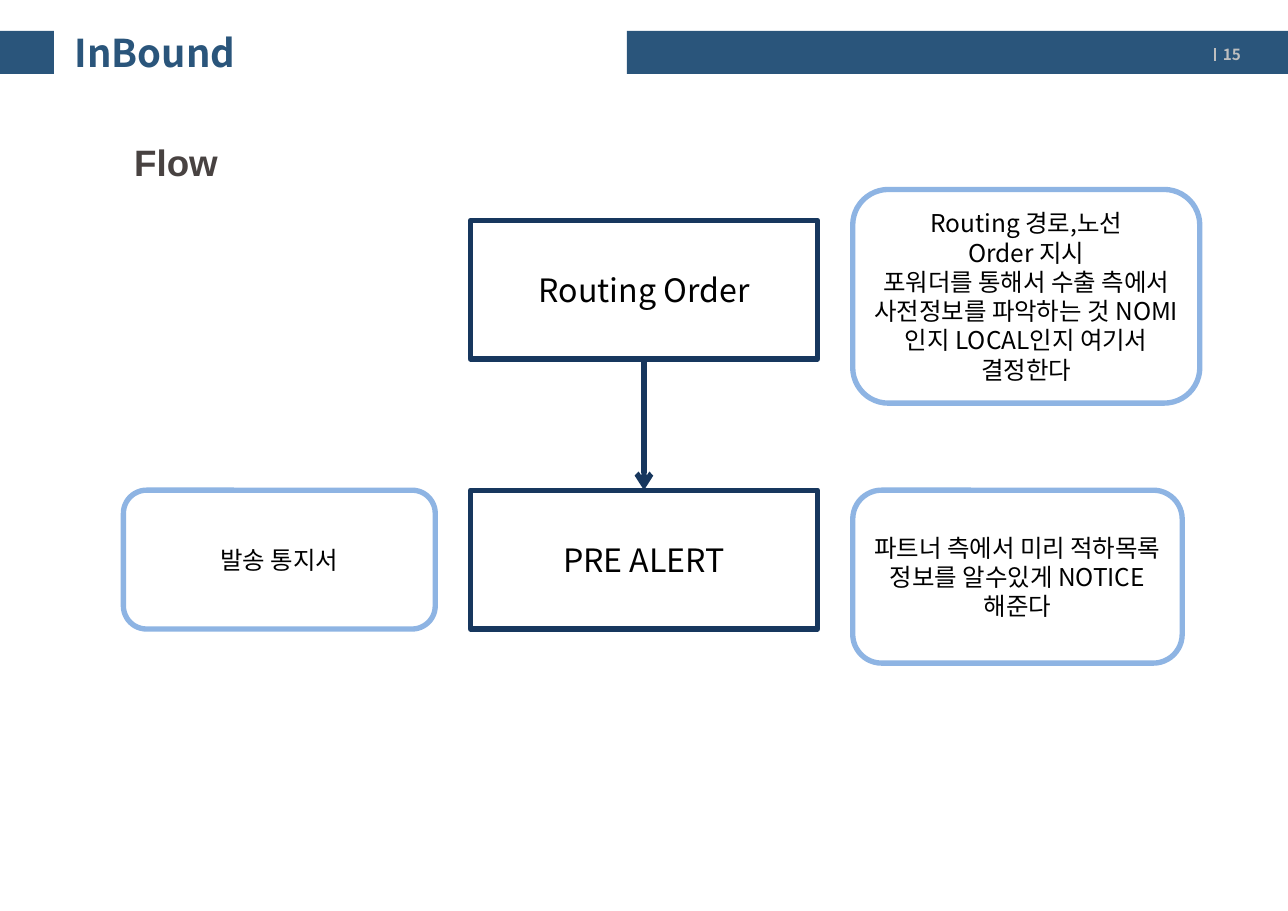
from lxml import etree
from pptx import Presentation
from pptx.dml.color import RGBColor
from pptx.enum.shapes import MSO_CONNECTOR, MSO_SHAPE
from pptx.enum.text import MSO_ANCHOR, PP_ALIGN
from pptx.oxml.ns import qn
from pptx.util import Inches, Pt

RECT, ROUND = MSO_SHAPE.RECTANGLE, MSO_SHAPE.ROUNDED_RECTANGLE
LINE = MSO_CONNECTOR.STRAIGHT
TOP, MID = MSO_ANCHOR.TOP, MSO_ANCHOR.MIDDLE
LEFT, CENTER = PP_ALIGN.LEFT, PP_ALIGN.CENTER
TEAL = RGBColor(0x2A, 0x55, 0x7B)
NAVY = RGBColor(0x17, 0x37, 0x5E)
SKY = RGBColor(0x8E, 0xB4, 0xE3)
GRAY = RGBColor(0xBF, 0xBF, 0xBF)
BROWN = RGBColor(0x48, 0x42, 0x41)
BLACK = RGBColor(0, 0, 0)
SANS = "Noto Sans CJK KR"


def write(shape, text, size=16, color=BLACK, bold=False, font=SANS,
          align=CENTER, anchor=MID, inset=(0.1, 0.05), pitch=None):
    frame = shape.text_frame
    frame.word_wrap = True
    frame.vertical_anchor = anchor
    frame.margin_left = frame.margin_right = Inches(inset[0])
    frame.margin_top = frame.margin_bottom = Inches(inset[1])
    frame.text = text
    for para in frame.paragraphs:
        para.alignment = align
        if pitch:
            para.line_spacing = Pt(pitch)
        for run in para.runs:
            run.font.name = font
            run.font.size = Pt(size)
            run.font.bold = bold
            run.font.color.rgb = color
            east = etree.SubElement(run.font._element, qn("a:ea"))
            east.set("typeface", font)


class Deck:
    def __init__(self, wide, high):
        self.show = Presentation()
        self.show.slide_width = Inches(wide)
        self.show.slide_height = Inches(high)
        self.col, self.row = Inches(wide) / 100, Inches(high) / 100
        self.slide = self.show.slides.add_slide(self.show.slide_layouts[6])

    def place(self, *grid):
        units = (self.col, self.row) * 2
        return [round(n * unit) for n, unit in zip(grid, units)]

    def shape(self, kind, grid, fill=None, edge=None):
        item = self.slide.shapes.add_shape(kind, *self.place(*grid))
        item.shadow.inherit = False
        if fill is not None:
            item.fill.solid()
            item.fill.fore_color.rgb = fill
        else:
            item.fill.background()
        if edge is not None:
            item.line.color.rgb = edge
            item.line.width = Pt(3.5)
        else:
            item.line.fill.background()
        return item

    def bar(self, x, wide):
        self.shape(RECT, (x, 3.39, wide, 4.72), fill=TEAL)

    def step(self, y, text):
        write(self.shape(RECT, (36.53, y, 26.95, 15.24), edge=NAVY),
              text, size=21)

    def note(self, grid, text):
        write(self.shape(ROUND, grid, edge=SKY), text,
              inset=(0.08, 0.05), pitch=19.15)

    def label(self, grid, text, **style):
        box = self.slide.shapes.add_textbox(*self.place(*grid))
        write(box, text, align=LEFT, bold=True, **style)

    def line(self, grid, color, width, arrow=False):
        item = self.slide.shapes.add_connector(LINE, *self.place(*grid))
        item.line.color.rgb = color
        item.line.width = Pt(width)
        if arrow:
            tail = etree.SubElement(item.line._get_or_add_ln(), qn("a:tailEnd"))
            tail.set("type", "arrow")
        etree.SubElement(item._element.spPr, qn("a:effectLst"))


def main():
    deck = Deck(11.69, 8.27)
    deck.bar(48.67, 51.33)
    deck.line((94.35, 5.32, 94.35, 6.65), GRAY, 1.5)
    deck.bar(0, 4.19)
    pad = (0.11, 0.06)
    deck.label((94.01, 3.75, 4.7, 4.35), "15", size=10, color=GRAY, inset=pad)
    deck.label((4.88, 2.42, 43.11, 6.65), "InBound", size=25, color=TEAL,
               inset=pad)
    deck.label((9.58, 14.75, 10.09, 6.05), "Flow", size=24, color=BROWN,
               font="Arial", anchor=TOP)
    first, second, high = 24.18, 53.81, 15.24
    deck.step(first, "Routing Order")
    deck.step(second, "PRE ALERT")
    deck.line((50, first + high, 50, second), NAVY, 3.5, arrow=True)
    deck.note((66.21, 20.8, 26.95, 23.46),
              "Routing 경로,노선\nOrder 지시\n포워더를 통해서 수출 측에서 "
              "사전정보를 파악하는 것 NOMI인지 LOCAL인지 여기서 결정한다")
    deck.note((9.58, second, 24.21, high), "발송 통지서")
    deck.note((66.21, second, 25.58, 18.98),
              "파트너 측에서 미리 적하목록 정보를 알수있게 NOTICE 해준다")
    deck.show.save("out.pptx")


if __name__ == "__main__":
    main()
